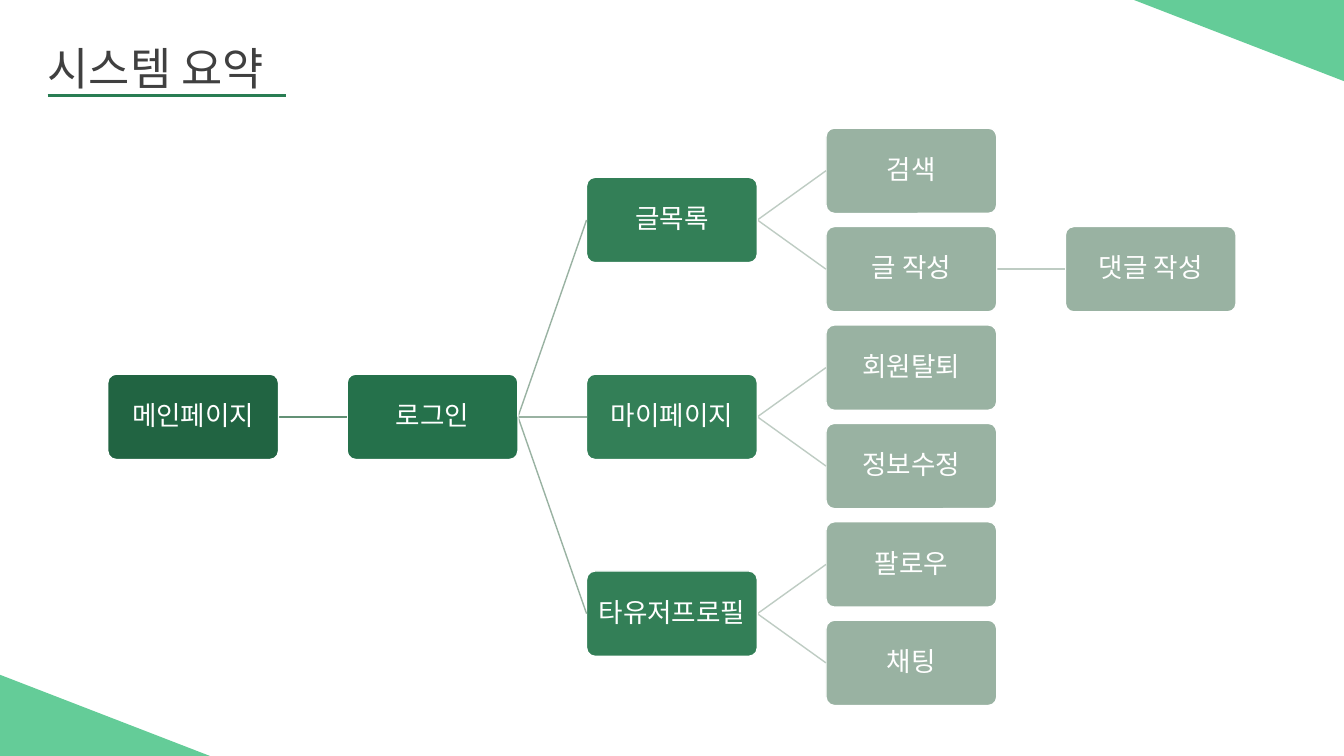
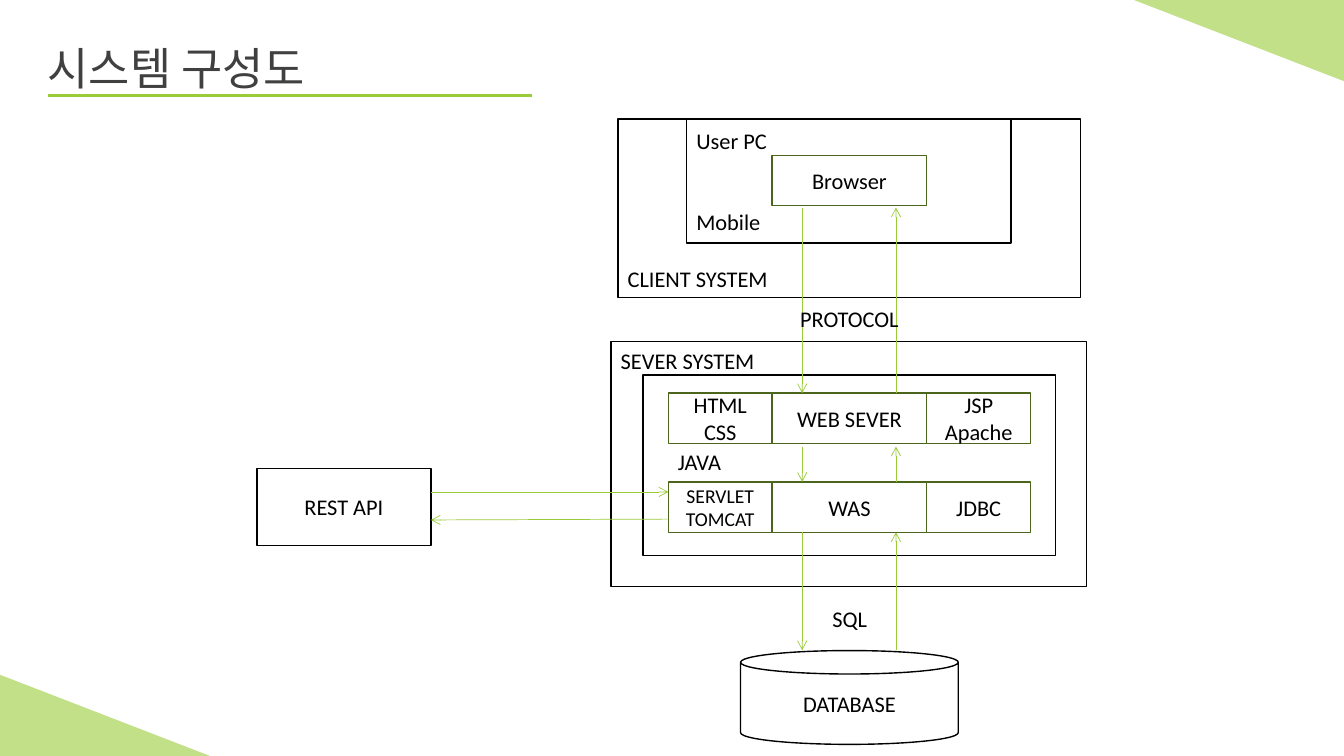
from lxml import etree
from pptx import Presentation
from pptx.dml.color import RGBColor
from pptx.enum.shapes import MSO_CONNECTOR, MSO_SHAPE
from pptx.enum.text import MSO_ANCHOR, MSO_AUTO_SIZE, PP_ALIGN
from pptx.oxml.ns import qn
from pptx.util import Pt

STRAIGHT = MSO_CONNECTOR.STRAIGHT
RECT, ROUNDED, CAN = MSO_SHAPE.RECTANGLE, MSO_SHAPE.ROUNDED_RECTANGLE, MSO_SHAPE.CAN
LEFT, CENTER = PP_ALIGN.LEFT, PP_ALIGN.CENTER
MIDDLE, TOP = MSO_ANCHOR.MIDDLE, MSO_ANCHOR.TOP

WHITE = RGBColor(0xFF, 0xFF, 0xFF)
BLACK = RGBColor(0x00, 0x00, 0x00)
TITLE_GREY = RGBColor(0x40, 0x40, 0x40)
FOREST = RGBColor(0x29, 0x7D, 0x53)
MINT = RGBColor(0x64, 0xCC, 0x98)
LIME = RGBColor(0x9A, 0xCB, 0x39)
PALE_LIME = RGBColor(0xC2, 0xE0, 0x88)
OLIVE = RGBColor(0x4C, 0x65, 0x1C)
SAGE = RGBColor(0x99, 0xB2, 0xA2)
PALE_SAGE = RGBColor(0xBE, 0xCC, 0xC3)
# One colour per depth of the page tree; links take the depth they start from
NODE_FILLS = [RGBColor(0x21, 0x64, 0x42), RGBColor(0x25, 0x71, 0x4B),
              RGBColor(0x33, 0x7F, 0x57), SAGE, SAGE]
LINK_COLORS = [RGBColor(0x63, 0x91, 0x75), SAGE, PALE_SAGE, PALE_SAGE]

LATIN_FONT = "Calibri"
KOREAN_FONT = "Noto Sans CJK KR"
PAGE_WIDTH, PAGE_HEIGHT = 960, 540
MARGIN = 34
CORNER_WIDTH, CORNER_HEIGHT = 150, 58

# Page tree: label and children
PAGE_TREE = ("메인페이지", [("로그인", [
    ("글목록", [("검색", []), ("글 작성", [("댓글 작성", [])])]),
    ("마이페이지", [("회원탈퇴", []), ("정보수정", [])]),
    ("타유저프로필", [("팔로우", []), ("채팅", [])]),
])])
NODE_WIDTH, NODE_HEIGHT = 122, 61
COLUMN_PITCH, ROW_PITCH = 171, 70.3

# Server grid: rows of cells, each with its lines and text size
SERVER_ROWS = [
    [(["HTML", "CSS"], 16), (["WEB SEVER"], 16), (["JSP", "Apache"], 16)],
    [(["SERVLET", "TOMCAT"], 14), (["WAS"], 16), (["JDBC"], 16)],
]
CELL_WIDTHS = [74.2, 110.4, 74.2]
CELL_HEIGHT, CELL_ROW_PITCH = 36, 63.4
DOWN_X, UP_X = 573, 640


# Shared helpers
def points(*lengths):
    return [Pt(length) for length in lengths]


def write_lines(frame, lines, size, color, align=CENTER, anchor=MIDDLE,
                font=LATIN_FONT, gap=0):
    frame.word_wrap = True
    frame.vertical_anchor = anchor
    for index, line in enumerate(lines):
        para = frame.add_paragraph() if index else frame.paragraphs[0]
        para.alignment = align
        if index and gap:
            para.space_before = Pt(gap)
        span = para.add_run()
        span.text = line
        span.font.size = Pt(size)
        span.font.name = font
        span.font.color.rgb = color
        east_asian = etree.SubElement(span.font._element, qn("a:ea"))
        east_asian.set("typeface", KOREAN_FONT)


def set_margins(frame, inset):
    frame.margin_left = frame.margin_right = Pt(inset)
    frame.margin_top = frame.margin_bottom = Pt(inset)


def add_box(slide, box, fill=WHITE, line=BLACK, kind=RECT):
    shape = slide.shapes.add_shape(kind, *points(*box))
    shape.shadow.inherit = False
    shape.fill.solid()
    shape.fill.fore_color.rgb = fill
    shape.line.color.rgb = line
    shape.line.width = Pt(1)
    return shape


def add_label(slide, text, box, align=CENTER):
    label = slide.shapes.add_textbox(*points(*box))
    write_lines(label.text_frame, [text], 16, BLACK, align, TOP)
    label.text_frame.auto_size = MSO_AUTO_SIZE.SHAPE_TO_FIT_TEXT


def add_line(slide, start, end, color, width, arrow=False):
    line = slide.shapes.add_connector(STRAIGHT, *points(*start, *end))
    line.line.color.rgb = color
    line.line.width = Pt(width)
    if arrow:
        etree.SubElement(line.line._get_or_add_ln(), qn("a:tailEnd")).set("type", "arrow")
    etree.SubElement(line._element.spPr, qn("a:effectLst"))


def add_corner(slide, corners, color):
    first, *others = [points(*corner) for corner in corners]
    builder = slide.shapes.build_freeform(*first)
    builder.add_line_segments(others, close=True)
    corner = builder.convert_to_shape()
    corner.shadow.inherit = False
    corner.fill.solid()
    corner.fill.fore_color.rgb = color
    corner.line.fill.background()


def add_page(deck, text, rule_width, rule_color, corner_color):
    """Title, rule and the two corner triangles."""
    slide = deck.slides.add_slide(deck.slide_layouts[5])
    title = slide.shapes.title
    title.left, title.top, title.width, title.height = points(
        MARGIN, MARGIN, PAGE_WIDTH - 2 * MARGIN, MARGIN)
    frame = title.text_frame
    frame.auto_size = MSO_AUTO_SIZE.NONE
    set_margins(frame, 0)
    write_lines(frame, [text], 32, TITLE_GREY, LEFT, font=KOREAN_FONT)
    frame.paragraphs[0].line_spacing = 0.9
    rule_y = 2 * MARGIN
    add_line(slide, (MARGIN, rule_y), (MARGIN + rule_width, rule_y), rule_color, 2.25)
    add_corner(slide, [(PAGE_WIDTH - CORNER_WIDTH, 0), (PAGE_WIDTH, 0),
                       (PAGE_WIDTH, CORNER_HEIGHT)], corner_color)
    add_corner(slide, [(CORNER_WIDTH, PAGE_HEIGHT), (0, PAGE_HEIGHT),
                       (0, PAGE_HEIGHT - CORNER_HEIGHT)], corner_color)
    return slide


# Page tree
def count_leaves(node):
    return sum(count_leaves(child) for child in node[1]) or 1


def draw_tree(slide, node, left, top, depth=0):
    """Draw a branch from its top left corner and return its node's centre height."""
    label, children = node
    child_top, child_centers = top, []
    for child in children:
        child_centers.append(
            draw_tree(slide, child, left + COLUMN_PITCH, child_top, depth + 1))
        child_top += count_leaves(child) * ROW_PITCH
    if children:
        center = (child_centers[0] + child_centers[-1]) / 2
    else:
        center = top + NODE_HEIGHT / 2
    for child_center in child_centers:
        add_line(slide, (left + NODE_WIDTH, center),
                 (left + COLUMN_PITCH, child_center), LINK_COLORS[depth], 1)
    shape = add_box(slide, (left, center - NODE_HEIGHT / 2, NODE_WIDTH, NODE_HEIGHT),
                    NODE_FILLS[depth], WHITE, ROUNDED)
    shape.adjustments[0] = 0.1
    set_margins(shape.text_frame, 1)
    write_lines(shape.text_frame, [label], 19, WHITE)
    para = shape.text_frame.paragraphs[0]
    para.line_spacing = 0.9
    para.space_after = Pt(6.5)
    return center


# System diagram regions
def draw_client(slide, left, top):
    add_box(slide, (left, top, 330.5, 127.4))
    device = add_box(slide, (left + 49, top, 231.8, 88.6))
    write_lines(device.text_frame, ["User PC", "Mobile"], 16, BLACK, LEFT, gap=39)
    browser = add_box(slide, (left + 110.2, top + 26, CELL_WIDTHS[1], CELL_HEIGHT),
                      line=OLIVE)
    write_lines(browser.text_frame, ["Browser"], 16, BLACK)
    add_label(slide, "CLIENT SYSTEM", (left, top + 101, 147.6, 24.5), LEFT)


def draw_server(slide, left, top):
    add_box(slide, (left, top, 339.8, 175))
    add_box(slide, (left + 23, top + 23.7, 294.5, 128.9))
    for row, cells in enumerate(SERVER_ROWS):
        cell_left = left + 41.1
        cell_top = top + 36.7 + row * CELL_ROW_PITCH
        for (lines, size), width in zip(cells, CELL_WIDTHS):
            cell = add_box(slide, (cell_left, cell_top, width, CELL_HEIGHT), line=OLIVE)
            write_lines(cell.text_frame, lines, size, BLACK)
            cell_left += width
    add_label(slide, "JAVA", (left + 29.5, top + 72.7, 67.7, 24.5))
    add_label(slide, "SEVER SYSTEM", (left, top, 125.3, 24.5), LEFT)


def draw_endpoint(slide, text, box, kind=RECT):
    shape = add_box(slide, box, kind=kind)
    if kind == CAN:
        shape.adjustments[0] = 0.25
    write_lines(shape.text_frame, [text], 16, BLACK)


def draw_flows(slide):
    # Each level: start and end of the downward arrow, then of the upward one
    for down_from, down_to, up_from, up_to in [
            (148.3, 280.8, 280.8, 148.3),
            (319, 344.2, 344.2, 319),
            (380.2, 464.4, 464.4, 380.2)]:
        add_line(slide, (DOWN_X, down_from), (DOWN_X, down_to), LIME, 0.5, True)
        add_line(slide, (UP_X, up_from), (UP_X, up_to), LIME, 0.5, True)
    add_line(slide, (307.8, 351.4), (477.4, 351.4), LIME, 0.5, True)
    add_line(slide, (477.4, 370.8), (307.8, 371.4), LIME, 0.5, True)


def main():
    deck = Presentation()
    deck.slide_width, deck.slide_height = points(PAGE_WIDTH, PAGE_HEIGHT)

    summary = add_page(deck, "시스템 요약", 170, FOREST, MINT)
    draw_tree(summary, PAGE_TREE, 77, 91.5)

    system = add_page(deck, "시스템 구성도", 346, LIME, PALE_LIME)
    draw_server(system, 436.3, 244.1)
    draw_client(system, 441.3, 85)
    draw_endpoint(system, "DATABASE", (529, 464.7, 155.5, 67), CAN)
    draw_endpoint(system, "REST API", (183.5, 334.8, 124.3, 54.7))
    draw_flows(system)
    add_label(system, "SQL", (581, 429, 51.8, 24.5))
    add_label(system, "PROTOCOL", (551.5, 214.6, 110.4, 24.5))

    deck.save("out.pptx")


if __name__ == "__main__":
    main()
